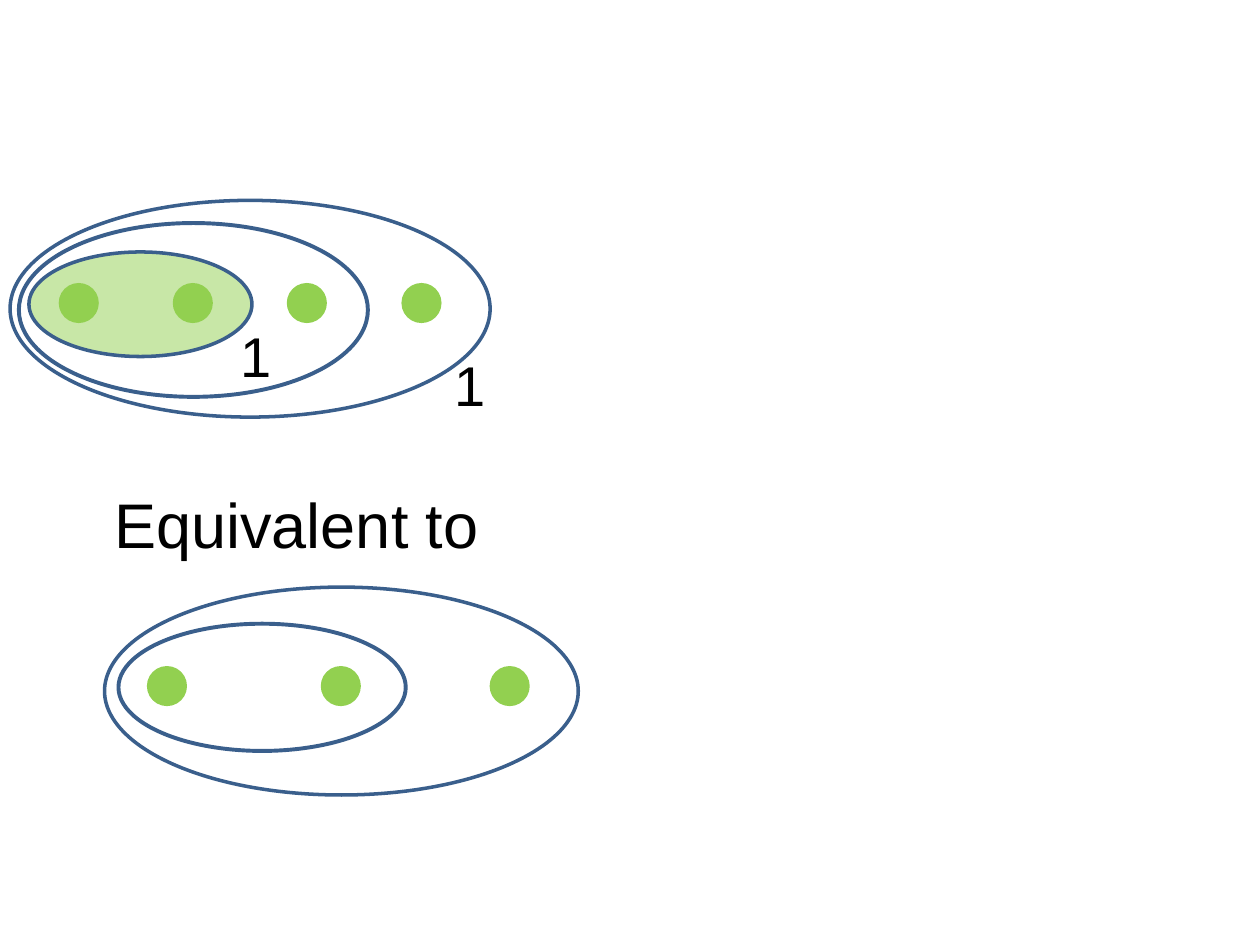
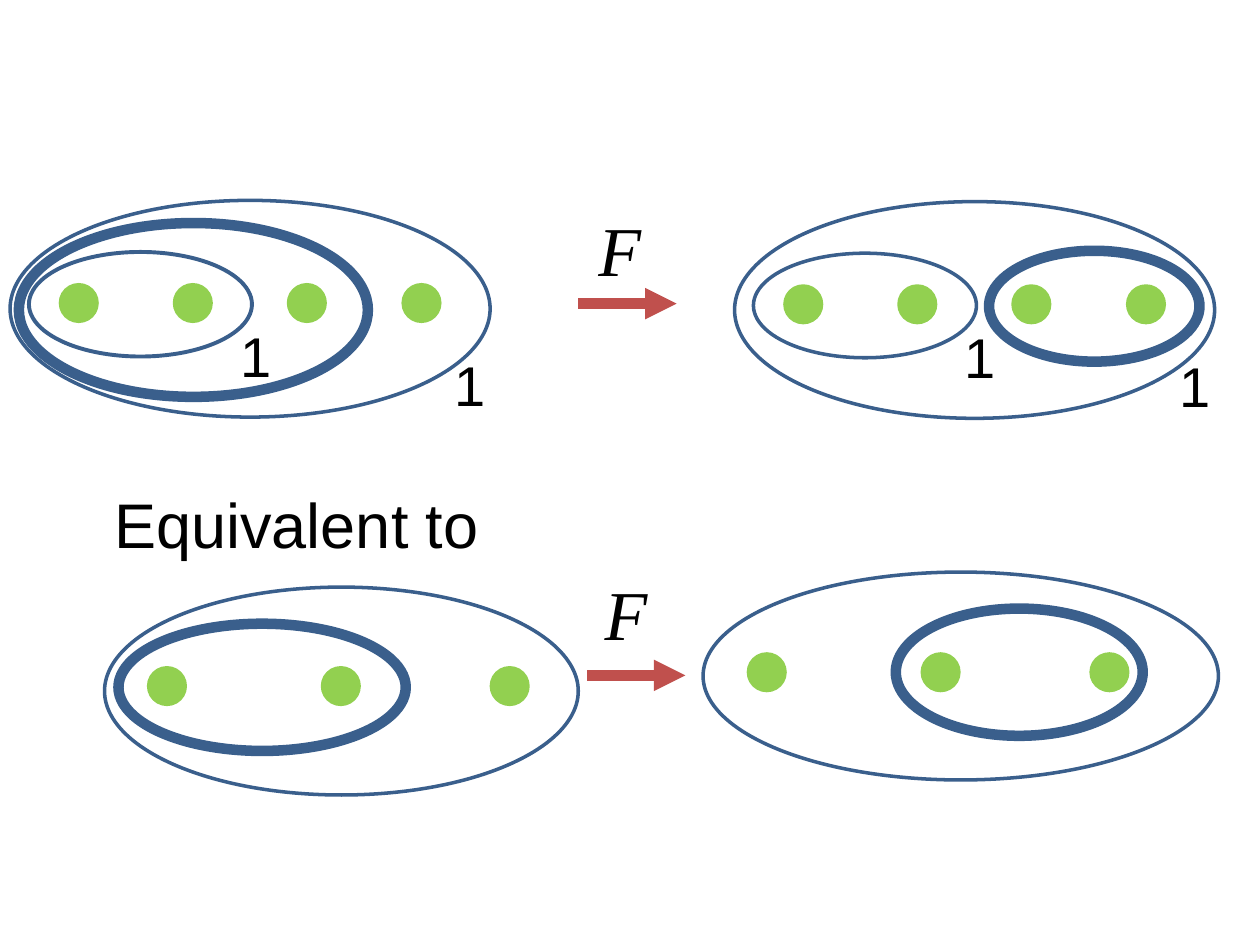
from dataclasses import dataclass
from typing import Optional

from lxml.etree import SubElement
from pptx import Presentation
from pptx.dml.color import RGBColor
from pptx.enum.shapes import MSO_CONNECTOR, MSO_SHAPE
from pptx.enum.text import MSO_AUTO_SIZE, MSO_VERTICAL_ANCHOR
from pptx.oxml.ns import qn
from pptx.slide import Slide
from pptx.util import Emu, Inches, Pt

SLIDE_WIDTH, SLIDE_HEIGHT = Inches(10), Inches(7.5)
COLUMNS, ROWS = 100, 75
GREEN, BLUE, RED, BLACK = "92D050", "3A5F8C", "C0504D", "000000"
SANS, SERIF = "Arial", "Times New Roman"
THIN, MEDIUM, BOLD = 2, 2.25, 6
DOT_SIZE = 2.9
ARROW_LENGTH = 7.8
FOUR_LEAVES = (0, 9.05, 18.1, 27.2)
THREE_LEAVES = (0, 13.8, 27.2)


@dataclass(frozen=True)
class Box:
    """An area in grid columns and rows."""
    left: float
    top: float
    width: float
    height: float


@dataclass(frozen=True)
class Cluster:
    box: Box
    line_width: float = THIN
    fill: Optional[str] = None


@dataclass(frozen=True)
class Label:
    text: str
    box: Box
    size: int
    font: str = SANS
    italic: bool = False


@dataclass(frozen=True)
class Hierarchy:
    """A row of leaves and the nested clusters around them."""
    first_leaf: tuple[float, float]
    leaf_offsets: tuple[float, ...]
    clusters: tuple[Cluster, ...]
    labels: tuple[Label, ...] = ()


@dataclass(frozen=True)
class Move:
    """An arrow from one hierarchy to the next, with its name above."""
    start: tuple[float, float]
    name_at: tuple[float, float]


def col(columns: float) -> Emu:
    return Emu(round(SLIDE_WIDTH * columns / COLUMNS))


def row(rows: float) -> Emu:
    return Emu(round(SLIDE_HEIGHT * rows / ROWS))


def place(box: Box) -> tuple[Emu, Emu, Emu, Emu]:
    return col(box.left), row(box.top), col(box.width), row(box.height)


def rgb(code: str) -> RGBColor:
    return RGBColor.from_string(code)


def draw_oval(slide: Slide, box: Box, line: str, line_width: float,
              fill: Optional[str] = None, opacity: int = 100) -> None:
    oval = slide.shapes.add_shape(MSO_SHAPE.OVAL, *place(box))
    oval.shadow.inherit = False
    oval.line.color.rgb = rgb(line)
    oval.line.width = Pt(line_width)
    if fill is None:
        oval.fill.background()
        return
    oval.fill.solid()
    oval.fill.fore_color.rgb = rgb(fill)
    if opacity < 100:
        color = oval.fill._xPr.find(qn("a:solidFill"))[0]
        SubElement(color, qn("a:alpha")).set("val", str(opacity * 1000))


def draw_label(slide: Slide, label: Label) -> None:
    frame = slide.shapes.add_textbox(*place(label.box)).text_frame
    frame.word_wrap = False
    frame.auto_size = MSO_AUTO_SIZE.SHAPE_TO_FIT_TEXT
    frame.vertical_anchor = MSO_VERTICAL_ANCHOR.TOP
    frame.text = label.text
    font = frame.paragraphs[0].runs[0].font
    font.name, font.size, font.italic = label.font, Pt(label.size), label.italic
    font.color.rgb = rgb(BLACK)


def draw_hierarchy(slide: Slide, hierarchy: Hierarchy) -> None:
    for cluster in hierarchy.clusters:
        draw_oval(slide, cluster.box, BLUE, cluster.line_width, cluster.fill, 50)
    left, top = hierarchy.first_leaf
    for offset in hierarchy.leaf_offsets:
        draw_oval(slide, Box(left + offset, top, DOT_SIZE, DOT_SIZE), GREEN, THIN, GREEN)
    for label in hierarchy.labels:
        draw_label(slide, label)


def draw_move(slide: Slide, move: Move) -> None:
    x, y = move.start
    arrow = slide.shapes.add_connector(
        MSO_CONNECTOR.STRAIGHT, col(x), row(y), col(x + ARROW_LENGTH), row(y))
    arrow.line.color.rgb = rgb(RED)
    arrow.line.width = Pt(BOLD)
    SubElement(arrow.line._get_or_add_ln(), qn("a:tailEnd")).set("type", "triangle")
    SubElement(arrow._element.spPr, qn("a:effectLst"))
    draw_label(slide, Label("F", Box(*move.name_at, 5.4, 7.7), 40, SERIF, True))


def four_leaves(left: float, top: float, inner: Cluster,
                pair_width: float = THIN, pair_fill: Optional[str] = None) -> Hierarchy:
    """Four leaves whose first pair and whole each have multiplicity 1."""
    pair = Cluster(Box(left + 1.5, top + 4.1, 17.7, 8.3), pair_width, pair_fill)
    whole = Cluster(Box(left, top, 38.1, 17.2))
    ones = tuple(Label("1", Box(left + dx, top + dy, 4.5, 6.3), 32)
                 for dx, dy in ((17.3, 9.1), (34.3, 11.4)))
    return Hierarchy((left + 4, top + 6.7), FOUR_LEAVES, (pair, inner, whole), ones)


def three_leaves(first_leaf: tuple[float, float], inner: Cluster, whole: Box) -> Hierarchy:
    return Hierarchy(first_leaf, THREE_LEAVES, (inner, Cluster(whole)))


def draw_equivalence(slide: Slide, inner_width: float, pair_width: float,
                     pair_fill: Optional[str] = None) -> None:
    """The left half that both slides share."""
    first_three = Cluster(Box(1.5, 17.7, 27.7, 13.8), inner_width)
    draw_hierarchy(slide, four_leaves(0.8, 15.9, first_three, pair_width, pair_fill))
    draw_label(slide, Label("Equivalent to", Box(8.1, 38, 31.2, 7.1), 36))
    first_two = Cluster(Box(9.4, 49.5, 22.8, 10.1), inner_width)
    draw_hierarchy(slide, three_leaves((11.8, 53), first_two, Box(8.3, 46.6, 37.6, 16.5)))


def draw_results(slide: Slide) -> None:
    last_pair = Cluster(Box(78.5, 19.9, 16.7, 8.8), BOLD)
    draw_hierarchy(slide, four_leaves(58.3, 16, last_pair))
    last_two = Cluster(Box(71.1, 48.3, 19.6, 10.1), BOLD)
    draw_hierarchy(slide, three_leaves((59.4, 51.9), last_two, Box(55.8, 45.4, 40.9, 16.5)))
    for move in (Move((45.9, 24.1), (46.5, 15.9)), Move((46.6, 53.6), (47, 44.8))):
        draw_move(slide, move)


def main() -> None:
    deck = Presentation()
    deck.slide_width, deck.slide_height = SLIDE_WIDTH, SLIDE_HEIGHT
    blank = deck.slide_layouts[6]
    draw_equivalence(deck.slides.add_slide(blank), MEDIUM, THIN, GREEN)
    moves = deck.slides.add_slide(blank)
    draw_equivalence(moves, BOLD, MEDIUM)
    draw_results(moves)
    deck.save("out.pptx")


if __name__ == "__main__":
    main()
